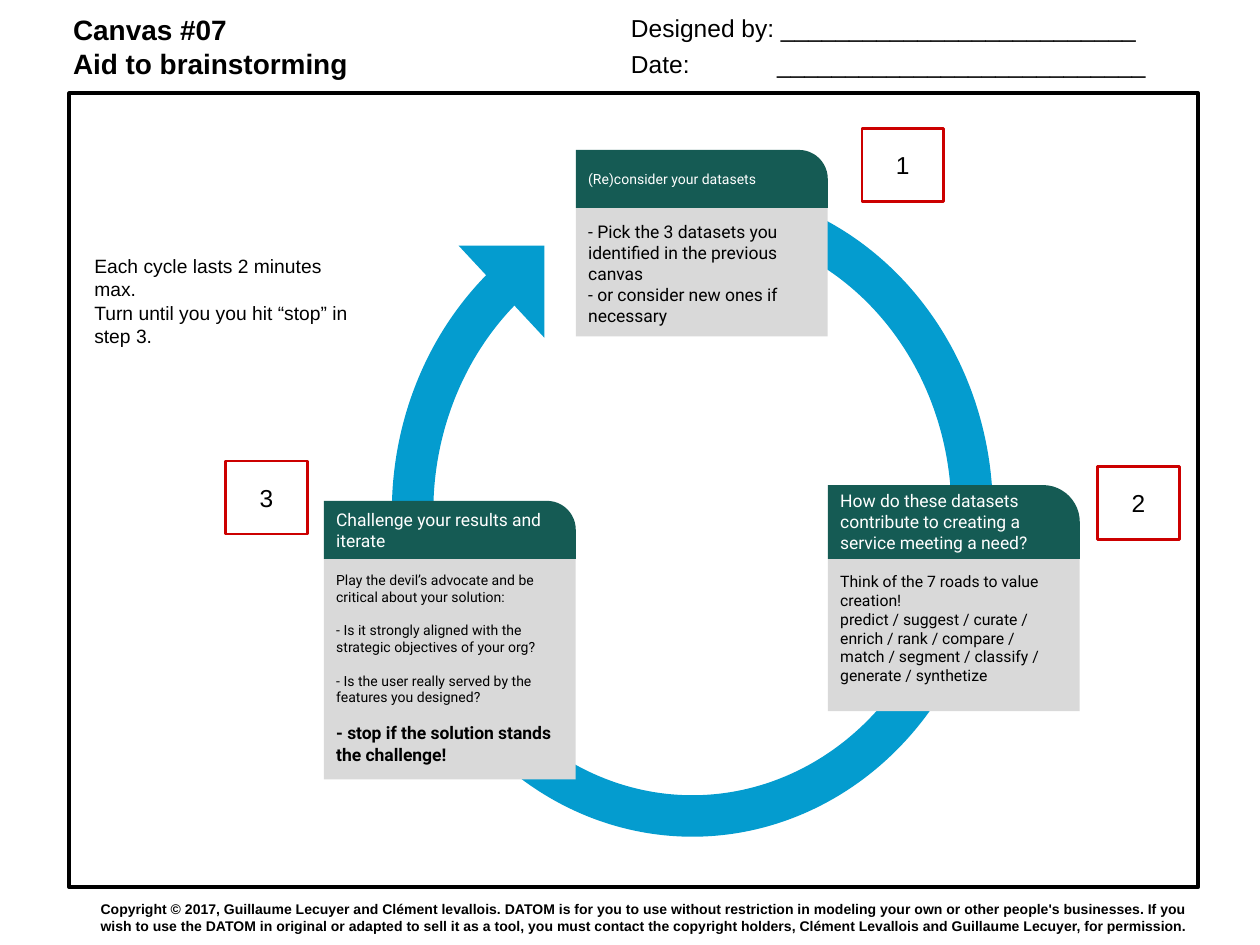
import pptx
import pptx.util
import pptx.dml.color
import pptx.enum.shapes
import pptx.enum.text
import pptx.oxml
import pptx.oxml.ns

RGB = pptx.dml.color.RGBColor
BLACK = RGB(0x00, 0x00, 0x00)
WHITE = RGB(0xFF, 0xFF, 0xFF)
BLUE = RGB(0x04, 0x9C, 0xCF)
GREEN = RGB(0x15, 0x5B, 0x54)
GREY = RGB(0xD9, 0xD9, 0xD9)
RED = RGB(0xCC, 0x00, 0x00)

KIND = pptx.enum.shapes.MSO_SHAPE
ALIGN = pptx.enum.text.PP_ALIGN
ANCHOR = pptx.enum.text.MSO_ANCHOR
COLS, ROWS = 100, 75

deck = pptx.Presentation()
deck.slide_width = pptx.util.Inches(10)
deck.slide_height = pptx.util.Inches(7.5)
slide = deck.slides.add_slide(deck.slide_layouts[5])


def place(x, y, w, h):
    """Turn grid columns and rows into slide lengths."""
    col, row = deck.slide_width / COLS, deck.slide_height / ROWS
    return [round(n) for n in (x * col, y * row, w * col, h * row)]


def write(shape, *lines, size=10, font="Arial", color=BLACK, bold=False,
          align=ALIGN.LEFT, anchor=ANCHOR.TOP, gap=0, tab=None):
    """Fill a shape; a line is a text or a (text, size, bold) tuple."""
    frame = shape.text_frame
    frame.word_wrap = True
    frame.auto_size = pptx.enum.text.MSO_AUTO_SIZE.NONE
    frame.vertical_anchor = anchor
    inset = pptx.util.Inches(0.1)
    frame.margin_left = frame.margin_right = inset
    frame.margin_top = frame.margin_bottom = inset
    for i, line in enumerate(lines):
        text, pts, heavy = (line, size, bold) if isinstance(line, str) else line
        para = frame.add_paragraph() if i else frame.paragraphs[0]
        para.alignment = align
        if i and gap:
            para.space_before = pptx.util.Pt(gap)
        if tab:
            stops = pptx.oxml.parse_xml(
                f'<a:tabLst {pptx.oxml.ns.nsdecls("a")}>'
                f'<a:tab pos="{pptx.util.Inches(tab)}" algn="l"/></a:tabLst>')
            para._p.get_or_add_pPr().append(stops)
        run = para.add_run()
        run.text = text
        run.font.name, run.font.size = font, pptx.util.Pt(pts)
        run.font.bold, run.font.color.rgb = heavy, color


def draw(kind, box, fill=None, line=None, width=1):
    shape = slide.shapes.add_shape(kind, *place(*box))
    shape.shadow.inherit = False
    if fill is None:
        shape.fill.background()
    else:
        shape.fill.solid()
        shape.fill.fore_color.rgb = fill
    if line is None:
        shape.line.fill.background()
    else:
        shape.line.color.rgb = line
        shape.line.width = pptx.util.Pt(width)
    return shape


def label(box, *lines, **form):
    write(slide.shapes.add_textbox(*place(*box)), *lines, **form)


def header(x, y, w, h):
    """Title on the left, fields to fill in on the right."""
    title = slide.shapes.title
    title.left, title.top, title.width, title.height = place(x, y, w / 2, h)
    write(title, "Canvas #07", "Aid to brainstorming", size=16, bold=True)
    side, field = x + 44.3, 4.5
    label((side, y, 43.6, field), "Designed by: " + "_" * 26, size=14)
    label((side, y + h - field, 44.4, field), "Date:\t" + "_" * 27,
          size=14, tab=1.16)


def cycle(x, y, w, h):
    """Ring with an arrowhead at its upper left end."""
    ring = draw(KIND.BLOCK_ARC, (x, y, w, h), BLUE)
    for i, value in enumerate((53.998, 30.127, 0.069)):
        ring.adjustments[i] = value
    tip = draw(KIND.RIGHT_TRIANGLE, (x + 5.3, y + 4.7, 6.8, 7.3), BLUE)
    ring.rotation = tip.rotation = 180


def card(x, y, w, top, rest, head, *lines, pts=10, **form):
    """Green head of height top over a grey body of height rest."""
    body = draw(KIND.RECTANGLE, (x, y + top, w, rest), GREY)
    write(body, *lines, font="Roboto", **form)
    cap = draw(KIND.ROUND_1_RECTANGLE, (x, y, w, top), GREEN)
    cap.adjustments[0] = 0.5
    write(cap, head, size=pts, font="Roboto", color=WHITE, anchor=ANCHOR.MIDDLE)


def badge(x, y, text):
    box = draw(KIND.RECTANGLE, (x, y, 6.5, 5.8), line=RED, width=1.5)
    write(box, text, size=14, align=ALIGN.CENTER, anchor=ANCHOR.MIDDLE)


# Header and frame
header(4.8, 0, 93.2, 7.4)
draw(KIND.RECTANGLE, (5.5, 7.4, 89.6, 63), line=BLACK, width=2.25)

# Cycle with its three steps, in neighbouring columns
cycle(31.1, 14.8, 47.7, 51.6)
WIDE = 20
left, mid, right = (25.7 + WIDE * i for i in range(3))
card(right, 38.5, WIDE, 5.85, 12.1,
     "How do these datasets contribute to creating a service meeting a need?",
     "Think of the 7 roads to value creation!",
     "predict / suggest / curate / enrich / rank / compare / match / segment"
     " / classify / generate / synthetize", size=9)
card(mid, 11.9, WIDE, 4.6, 10.2, "(Re)consider your datasets",
     "- Pick the 3 datasets you identified in the previous canvas",
     "- or consider new ones if necessary", pts=8)
card(left, 39.75, WIDE, 4.6, 17.5, "Challenge your results and iterate",
     "Play the devil’s advocate and be critical about your solution:",
     "- Is it strongly aligned with the strategic objectives of your org?",
     "- Is the user really served by the features you designed?",
     ("- stop if the solution stands the challenge!", 10, True),
     size=8, gap=9.6)

# Note and step numbers
label((6.5, 19.2, 23.6, 10.1), "Each cycle lasts 2 minutes max.",
      "Turn until you you hit “stop” in step 3.", size=11)
for x, y, text in ((68.4, 10.2, "1"), (87.1, 37, "2"), (17.9, 36.6, "3")):
    badge(x, y, text)

# Copyright line
label((7, 71.3, 89.6, 3),
      "Copyright © 2017, Guillaume Lecuyer and Clément levallois. DATOM is for "
      "you to use without restriction in modeling your own or other people's "
      "businesses. If you wish to use the DATOM in original or adapted to sell "
      "it as a tool, you must contact the copyright holders, Clément Levallois "
      "and Guillaume Lecuyer, for permission.",
      size=8, bold=True, anchor=ANCHOR.MIDDLE)

deck.save("out.pptx")
